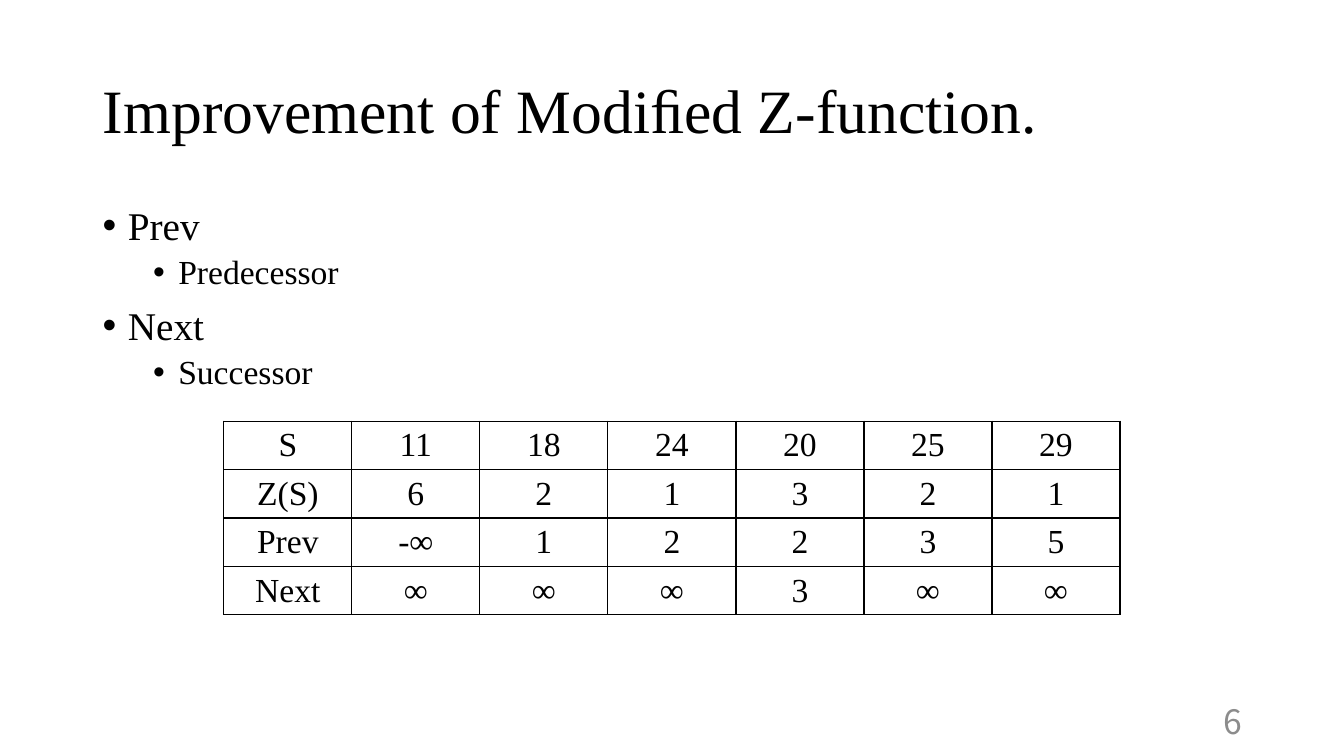
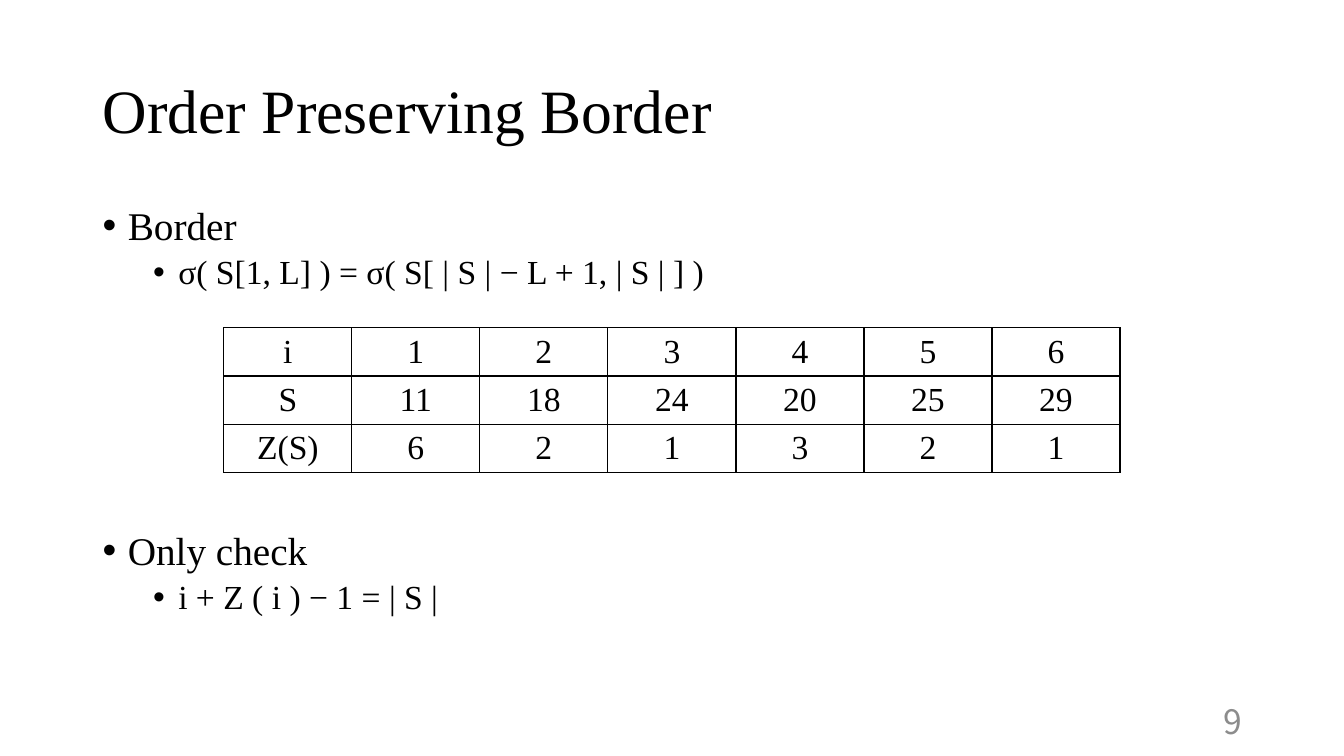
"""Build two slides on order-preserving matching, each with bullets and a table."""
import pptx
import pptx.dml.color
import pptx.enum.text
import pptx.oxml.ns
import pptx.util
from lxml import etree

Inches, Pt = pptx.util.Inches, pptx.util.Pt
PP_ALIGN, MSO_ANCHOR = pptx.enum.text.PP_ALIGN, pptx.enum.text.MSO_ANCHOR
qn = pptx.oxml.ns.qn

COLORS = {"text": "000000", "number": "8C8C8C"}
FONT, NUMBER_FONT = "Times New Roman", "Noto Sans CJK JP"
LEFT, WIDTH = Inches(0.92), Inches(11.5)
TABLE_LEFT, COL_WIDTH, ROW_HEIGHT = Inches(2.22), Inches(1.27), Inches(0.47)
LEVELS = [
    {"size": 28, "indent": 0.25, "before": 10},
    {"size": 24, "indent": 0.75, "before": 5},
]

VALUES = ["S", "11", "18", "24", "20", "25", "29"]
Z_VALUES = ["Z(S)", "6", "2", "1", "3", "2", "1"]
SLIDES = [
    {
        "title": "Improvement of Modiﬁed Z-function.",
        "bullets": [("Prev", 0), ("Predecessor", 1), ("Next", 0), ("Successor", 1)],
        "gaps": {},
        "top": 4.18,
        "rows": [
            VALUES,
            Z_VALUES,
            ["Prev", "-∞", "1", "2", "2", "3", "5"],
            ["Next", "∞", "∞", "∞", "3", "∞", "∞"],
        ],
        "number": "6",
    },
    {
        "title": "Order Preserving Border",
        "bullets": [
            ("Border", 0),
            ("σ( S[1, L] ) = σ( S[ | S | − L + 1, | S | ] )", 1),
            ("Only check", 0),
            ("i + Z ( i ) − 1 = | S |", 1),
        ],
        "gaps": {2: 171},
        "top": 3.25,
        "rows": [["i", "1", "2", "3", "4", "5", "6"], VALUES, Z_VALUES],
        "number": "9",
    },
]


def write(p, text, size, align=PP_ALIGN.LEFT, font=FONT, color="text"):
    """Fill a paragraph with one formatted run."""
    p.text = text
    p.alignment = align
    r = p.runs[0]
    r.font.name = font
    r.font.size = Pt(size)
    r.font.color.rgb = pptx.dml.color.RGBColor.from_string(COLORS[color])


def add_borders(cell):
    """Draw a thin line on all four sides of a table cell."""
    tc_pr = cell._tc.get_or_add_tcPr()
    for side in ("lnL", "lnR", "lnT", "lnB"):
        ln = etree.SubElement(tc_pr, qn("a:" + side), w=str(Pt(1)))
        fill = etree.SubElement(ln, qn("a:solidFill"))
        etree.SubElement(fill, qn("a:srgbClr"), val=COLORS["text"])


prs = pptx.Presentation()
prs.slide_width, prs.slide_height = Inches(13.33), Inches(7.5)

for content in SLIDES:
    s = prs.slides.add_slide(prs.slide_layouts[5])

    title = s.shapes.title
    title.left, title.top, title.width, title.height = LEFT, Inches(0.4), WIDTH, Inches(1.45)
    tf = title.text_frame
    tf.auto_size = pptx.enum.text.MSO_AUTO_SIZE.NONE
    tf.vertical_anchor = MSO_ANCHOR.MIDDLE
    write(tf.paragraphs[0], content["title"], 44)
    tf.paragraphs[0].line_spacing = 0.9

    body = s.shapes.add_textbox(LEFT, Inches(2), WIDTH, Inches(4.76))
    tf = body.text_frame
    tf.word_wrap = True
    for i, (text, level) in enumerate(content["bullets"]):
        style = LEVELS[level]
        p = tf.add_paragraph() if i else tf.paragraphs[0]
        p.level = level
        p_pr = p._p.get_or_add_pPr()
        p_pr.set("marL", str(Inches(style["indent"])))
        p_pr.set("indent", str(Inches(-0.25)))
        etree.SubElement(p_pr, qn("a:buFont"), typeface="Arial")
        etree.SubElement(p_pr, qn("a:buChar"), char="•")
        write(p, text, style["size"])
        p.line_spacing = 0.9
        if i:
            p.space_before = Pt(content["gaps"].get(i, style["before"]))

    number = s.shapes.add_textbox(Inches(9.42), Inches(6.95), Inches(3), Inches(0.4))
    tf = number.text_frame
    tf.word_wrap = True
    tf.vertical_anchor = MSO_ANCHOR.MIDDLE
    write(tf.paragraphs[0], content["number"], 24, PP_ALIGN.RIGHT, NUMBER_FONT, "number")

    rows = content["rows"]
    n_rows, n_cols = len(rows), len(rows[0])
    table = s.shapes.add_table(
        n_rows, n_cols, TABLE_LEFT, Inches(content["top"]), COL_WIDTH * n_cols, ROW_HEIGHT * n_rows
    ).table
    table.first_row = table.horz_banding = False
    for col in table.columns:
        col.width = COL_WIDTH
    for row, values in zip(table.rows, rows):
        row.height = ROW_HEIGHT
        for cell, value in zip(row.cells, values):
            cell.margin_top = cell.margin_bottom = Inches(0.04)
            cell.vertical_anchor = MSO_ANCHOR.MIDDLE
            write(cell.text_frame.paragraphs[0], value, 24, PP_ALIGN.CENTER)
            add_borders(cell)
            cell.fill.background()

prs.save("out.pptx")
